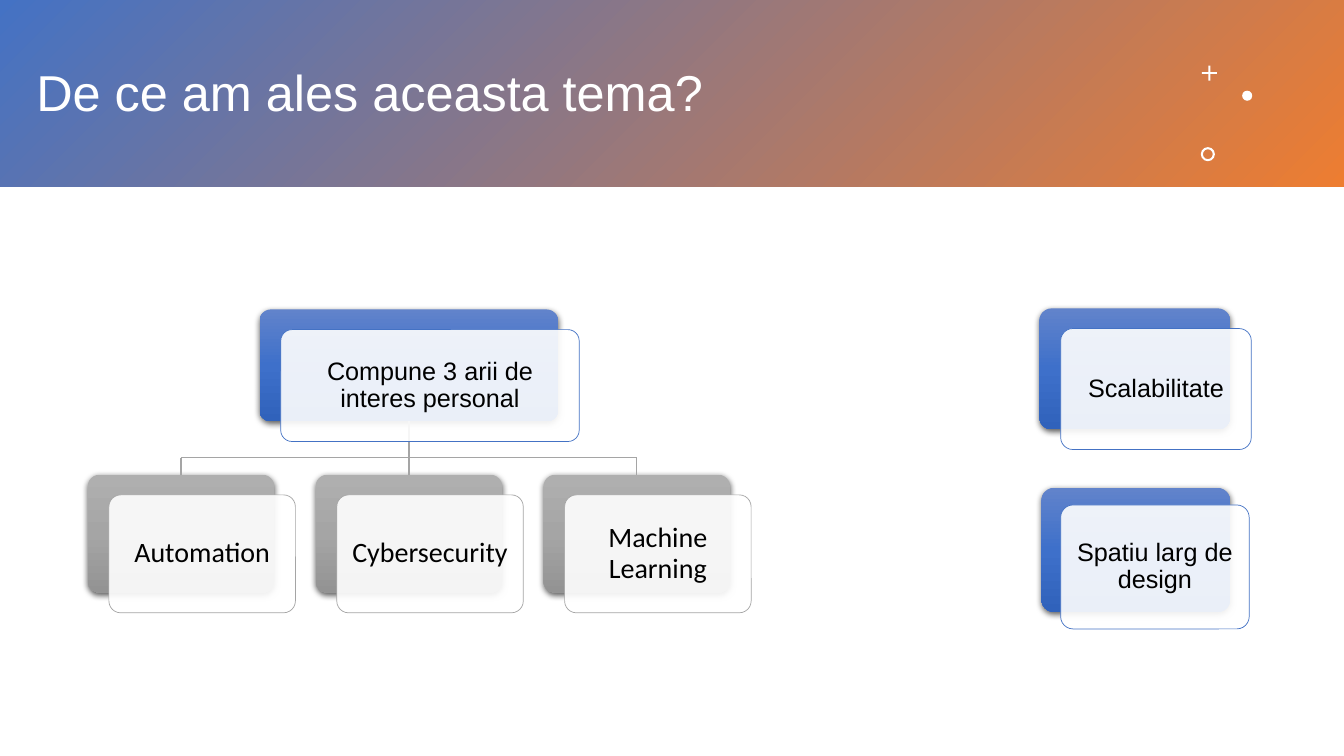
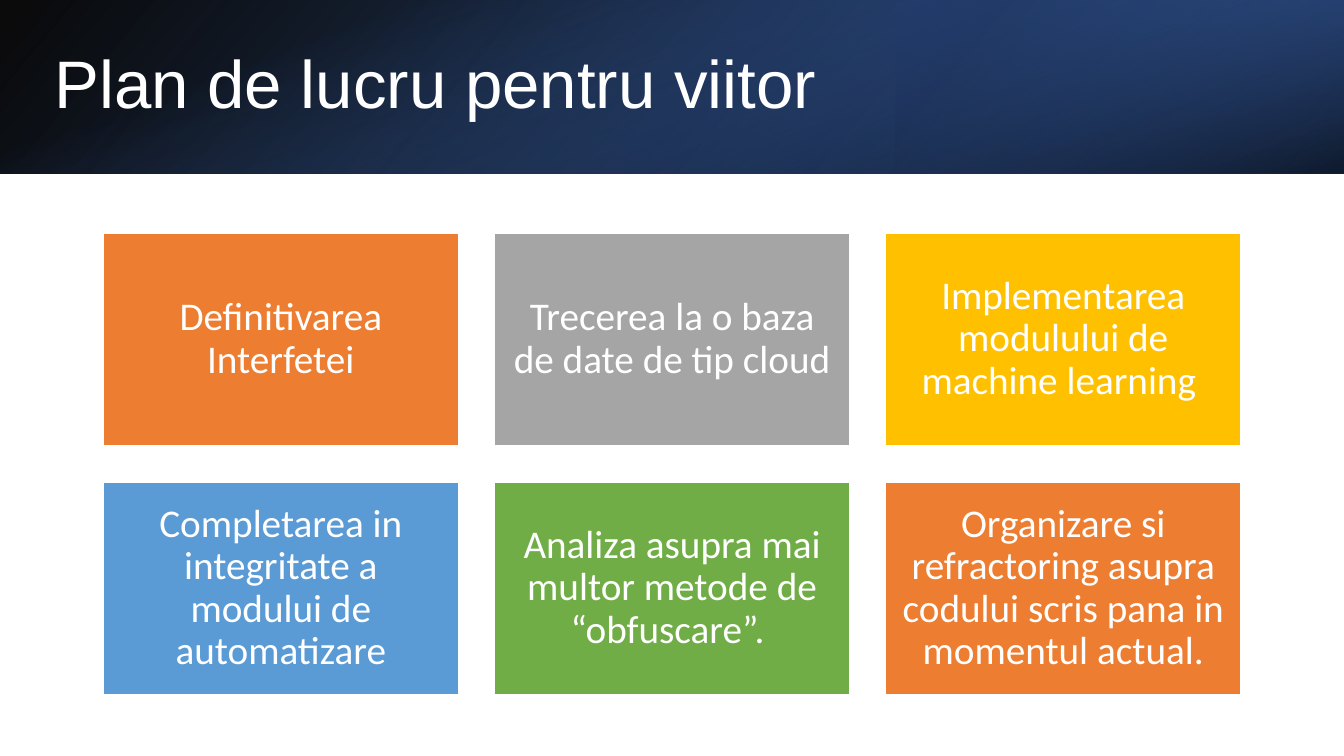
from lxml import etree
from pptx import Presentation
from pptx.dml.color import RGBColor
from pptx.enum.shapes import MSO_CONNECTOR, MSO_SHAPE
from pptx.enum.text import MSO_ANCHOR, PP_ALIGN
from pptx.oxml.ns import qn
from pptx.util import Inches, Pt

RECT, ROUND = MSO_SHAPE.RECTANGLE, MSO_SHAPE.ROUNDED_RECTANGLE
CROSS, OVAL, DONUT = MSO_SHAPE.CROSS, MSO_SHAPE.OVAL, MSO_SHAPE.DONUT
STRAIGHT = MSO_CONNECTOR.STRAIGHT
MIDDLE = MSO_ANCHOR.MIDDLE
LEFT, CENTER = PP_ALIGN.LEFT, PP_ALIGN.CENTER
TOP_SIDE, LOW_SIDE = 0, 2

WHITE = RGBColor(0xFF, 0xFF, 0xFF)
BLACK = RGBColor(0x00, 0x00, 0x00)
BLUE = RGBColor(0x44, 0x72, 0xC4)
NAVY = RGBColor(0x2F, 0x55, 0x97)
DEEP = RGBColor(0x20, 0x38, 0x64)
ORANGE = RGBColor(0xED, 0x7D, 0x31)
GRAY = RGBColor(0xA5, 0xA5, 0xA5)
GOLD = RGBColor(0xFF, 0xC0, 0x00)
SKY = RGBColor(0x5B, 0x9B, 0xD5)
GREEN = RGBColor(0x70, 0xAD, 0x47)
# Gradient stops: position, colour, opacity, all shares in percent
BLUES = [(0, RGBColor(0x61, 0x83, 0xCB), 100),
         (50, RGBColor(0x3E, 0x70, 0xCA), 100),
         (100, RGBColor(0x30, 0x62, 0xBB), 100)]
GRAYS = [(0, RGBColor(0xAF, 0xAF, 0xAF), 100), (50, GRAY, 100),
         (100, RGBColor(0x93, 0x93, 0x93), 100)]

HEAD, BODY = "Arial", "Calibri"
WIDE, HIGH = 13.33, 7.5
STEP = (0.21, 0.2)


def node(parent, tag, **attrs):
    made = etree.SubElement(parent, qn(tag))
    for key, value in attrs.items():
        made.set(key, str(value))
    return made


def tint(parent, color, alpha):
    """Add a colour with its opacity in percent."""
    node(node(parent, "a:srgbClr", val=color), "a:alpha", val=alpha * 1000)


def shape(slide, kind, x, y, w, h, color=None, line=None, width=1):
    made = slide.shapes.add_shape(kind, *map(Inches, (x, y, w, h)))
    made.shadow.inherit = False
    if color is None:
        made.fill.background()
    else:
        made.fill.solid()
        made.fill.fore_color.rgb = color
    if line is None:
        made.line.fill.background()
    else:
        made.line.color.rgb = line
        made.line.width = Pt(width)
    return made


def blend(item, stops, angle):
    """Fill with a gradient whose angle runs clockwise from the left edge."""
    props = item.element.spPr
    grad = etree.Element(qn("a:gradFill"), rotWithShape="1")
    held = node(grad, "a:gsLst")
    for place, color, alpha in stops:
        tint(node(held, "a:gs", pos=place * 1000), color, alpha)
    node(grad, "a:lin", ang=angle * 60000, scaled=0)
    props.replace(props.find(qn("a:noFill")), grad)


def band(slide, x, y, w, h, stops, angle, turn=0, flip=False):
    made = shape(slide, RECT, x, y, w, h)
    blend(made, stops, angle)
    made.rotation = turn
    if flip:
        made.element.spPr.find(qn("a:xfrm")).set("flipH", "1")


def style(frame, text, font, size, color, align):
    frame.word_wrap = True
    frame.vertical_anchor = MIDDLE
    para = frame.paragraphs[0]
    para.text = text
    para.alignment = align
    para.line_spacing = 0.9
    para.font.name = font
    para.font.size = Pt(size)
    para.font.color.rgb = color


def label(item, text, font, size, color, inset):
    frame = item.text_frame
    frame.margin_left = frame.margin_right = Inches(inset)
    frame.margin_top = frame.margin_bottom = Inches(inset)
    style(frame, text, font, size, color, CENTER)


def title(slide, text, size, x, y, w, h):
    """Place the title in front of the bands drawn so far."""
    head = slide.shapes.title
    head.left, head.top, head.width, head.height = map(Inches, (x, y, w, h))
    style(head.text_frame, text, HEAD, size, WHITE, LEFT)
    slide.shapes.element.append(head.element)


def block(slide, x, y, w, h, stops):
    """Draw the shaded rear plate of a card."""
    made = shape(slide, ROUND, x, y, w, h)
    made.adjustments[0] = 0.1
    blend(made, stops, 90)
    glow = node(made.element.spPr.find(qn("a:effectLst")), "a:outerShdw",
                blurRad=Pt(4.5), dist=Pt(1.5), dir=90 * 60000, rotWithShape=0)
    tint(glow, BLACK, 63)
    return made


def card(slide, rear, text, line, font, size, step=STEP):
    """Draw the clear front plate, shifted from its rear plate by step."""
    x, y = rear.left.inches + step[0], rear.top.inches + step[1]
    made = shape(slide, ROUND, x, y, rear.width.inches, rear.height.inches,
                 WHITE, line, 0.5)
    made.adjustments[0] = 0.1
    paint = made.element.spPr.find(qn("a:solidFill"))
    node(paint[0], "a:alpha", val=90000)
    label(made, text, font, size, BLACK, 0.07)


def wire(slide, x1, y1, x2, y2, start=None, end=None):
    made = slide.shapes.add_connector(
        STRAIGHT, *map(Inches, (x1, y1, x2, y2)))
    made.line.color.rgb = GRAY
    made.line.width = Pt(1)
    node(made.element.spPr, "a:effectLst")
    if start is not None:
        made.begin_connect(start, LOW_SIDE)
    if end is not None:
        made.end_connect(end, TOP_SIDE)


def tree(slide):
    names = ["Automation", "Cybersecurity", "Machine Learning"]
    left, pitch, top, w, bar = 0.87, 2.26, 4.71, 1.85, 4.54
    mids = [left + i * pitch + w / 2 for i in range(len(names))]
    root = block(slide, mids[1] - 1.48, 3.07, 2.96, 1.11, BLUES)
    kids = [block(slide, mid - w / 2, top, w, 1.17, GRAYS) for mid in mids]
    wire(slide, mids[1], 4.18, mids[1], top, root, kids[1])
    wire(slide, mids[0], bar, mids[2], bar)
    for i in (0, 2):
        wire(slide, mids[i], bar, mids[i], top, end=kids[i])
    card(slide, root, "Compune 3 arii de interes personal", BLUE, HEAD, 18)
    for kid, name in zip(kids, names):
        card(slide, kid, name, GRAY, BODY, 20)


def reasons(slide):
    band(slide, 0, 0, WIDE, 1.85, [(0, BLUE, 100), (100, ORANGE, 100)], 45)
    title(slide, "De ce am ales aceasta tema?", 36, 0.26, 0.35, 10.75, 1.19)
    plus = shape(slide, CROSS, 11.92, 0.65, 0.15, 0.15, WHITE)
    plus.adjustments[0] = 0.44
    shape(slide, OVAL, 12.32, 0.9, 0.1, 0.1, WHITE)
    ring = shape(slide, DONUT, 11.91, 1.46, 0.14, 0.14, WHITE)
    ring.adjustments[0] = 0.15
    tree(slide)
    scale = block(slide, 10.31, 3.06, 1.89, 1.2, BLUES)
    card(slide, scale, "Scalabilitate", BLUE, HEAD, 18)
    design = block(slide, 10.33, 4.84, 1.87, 1.23, BLUES)
    card(slide, design, "Spatiu larg de design", BLUE, HEAD, 18, (0.19, 0.17))


def plan(slide):
    tall = 1.72
    band(slide, 0, 0, WIDE, tall, [(0, BLACK, 96), (100, NAVY, 100)], 140,
         flip=True)
    band(slide, WIDE * 2 / 3, 0, WIDE / 3, tall,
         [(19, DEEP, 68), (100, BLUE, 79)], 320, turn=180, flip=True)
    band(slide, (WIDE - tall) / 2, (tall - WIDE) / 2, tall, WIDE,
         [(23, BLUE, 0), (99, BLACK, 74)], 340, turn=90)
    title(slide, "Plan de lucru pentru viitor", 48, 0.44, 0.38, 10.98, 0.96)
    tasks = [
        ("Definitivarea Interfetei", ORANGE),
        ("Trecerea la o baza de date de tip cloud", GRAY),
        ("Implementarea modulului de machine learning ", GOLD),
        ("Completarea in integritate a modului de automatizare", SKY),
        ("Analiza asupra mai multor metode de “obfuscare”. ", GREEN),
        ("Organizare si refractoring asupra codului scris pana in "
         "momentul actual.", ORANGE),
    ]
    cols, w, h, gap, top = 3, 3.52, 2.11, 0.36, 2.31
    left = (WIDE - cols * w - (cols - 1) * gap) / 2
    for i, (text, color) in enumerate(tasks):
        row, col = divmod(i, cols)
        box = shape(slide, RECT, left + col * (w + gap),
                    top + row * (h + gap), w, h, color, WHITE)
        label(box, text, BODY, 28, WHITE, 0.12)


def main():
    deck = Presentation()
    deck.slide_width, deck.slide_height = Inches(WIDE), Inches(HIGH)
    for build in (reasons, plan):
        build(deck.slides.add_slide(deck.slide_layouts[5]))
    deck.save("out.pptx")


if __name__ == "__main__":
    main()
